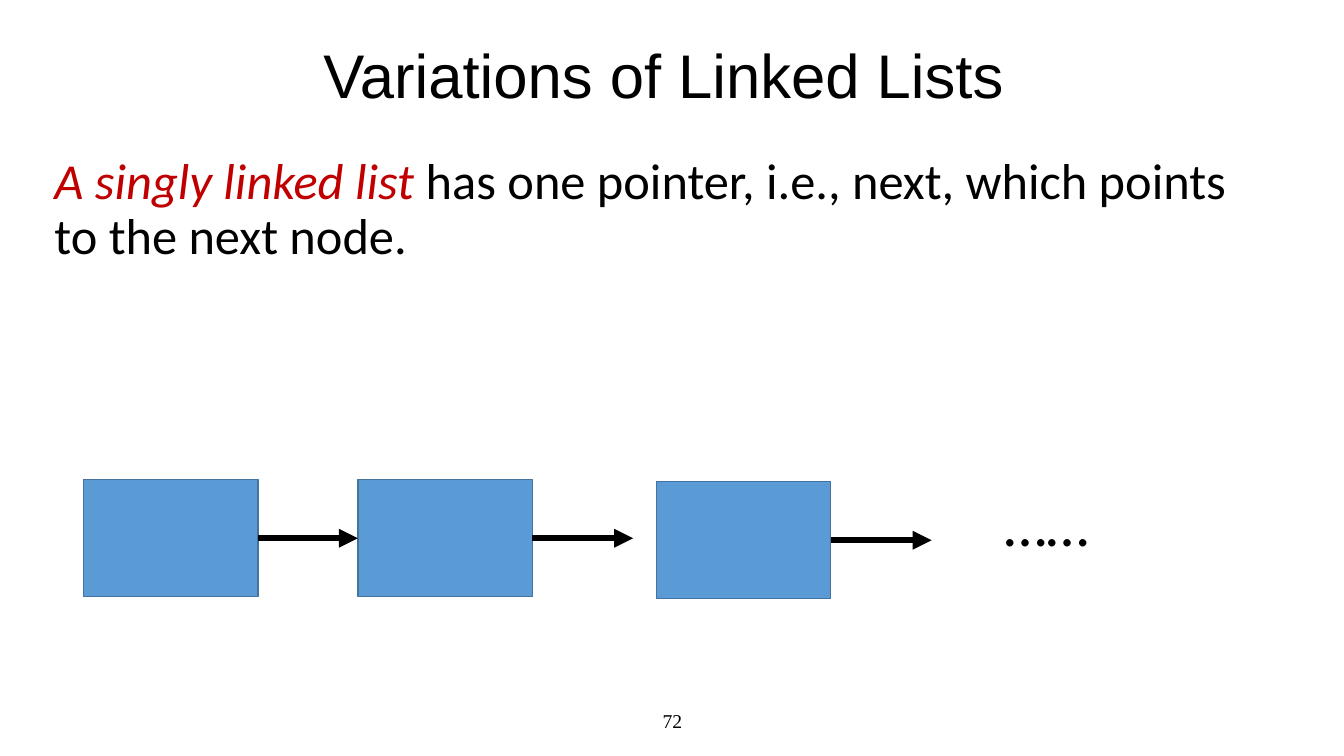
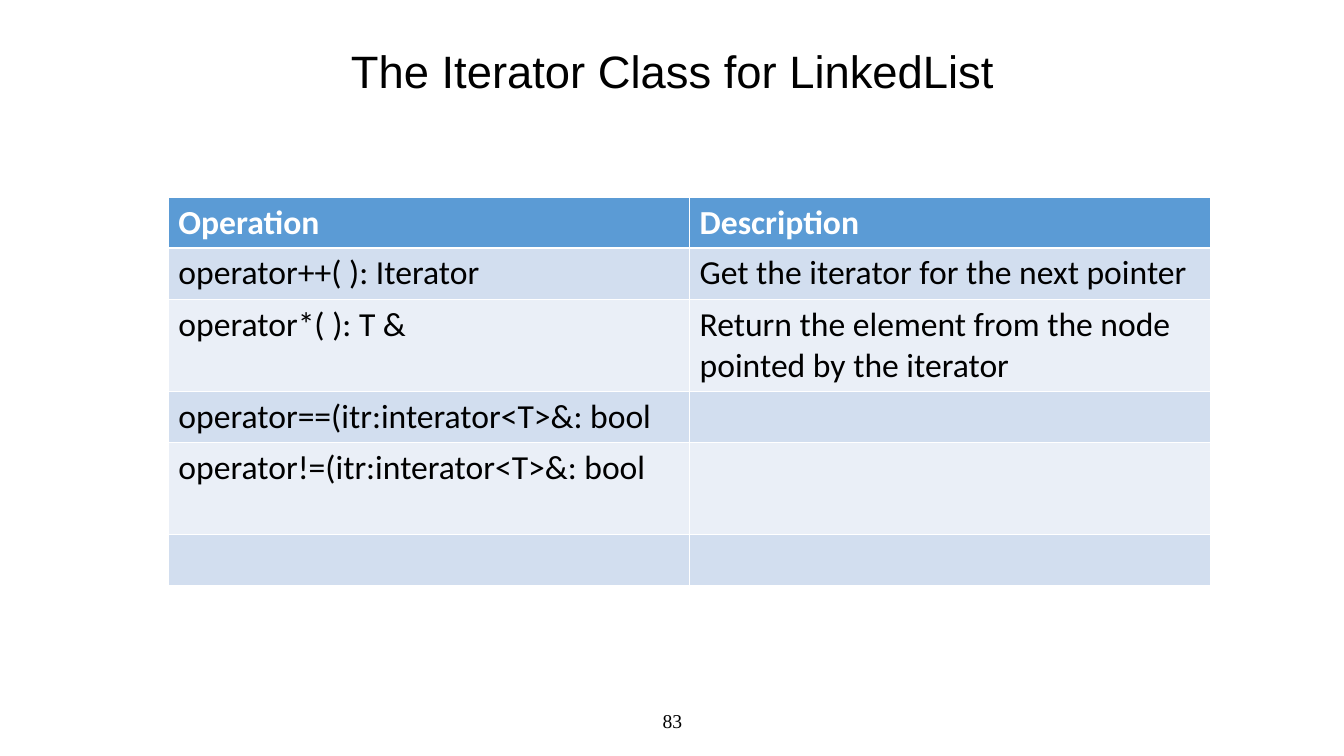
from pptx import Presentation
from pptx import util as u
from pptx.dml.color import RGBColor
from pptx.enum import shapes, text
from pptx.oxml.ns import qn
from lxml import etree

PX = 9144
BLACK, WHITE, RED = "000000", "FFFFFF", "C00000"
BLUE, EDGE = "5B9BD5", "43739E"
BANDS = ("D2DEEF", "EAEFF7")
SANS, BODY, SERIF = "Arial", "Calibri", "Times New Roman"


def px(*sizes):
    return [u.Emu(size * PX) for size in sizes]


def paint(target, color):
    if hasattr(target, "solid"):
        target.solid()
        target.fore_color.rgb = RGBColor.from_string(color)
    else:
        target.color.rgb = RGBColor.from_string(color)


def style(part, name, size, color=BLACK):
    part.font.name, part.font.size = name, u.Pt(size)
    paint(part.font, color)


def place(shape, box):
    shape.left, shape.top, shape.width, shape.height = px(*box)


def start(deck, layout, words, box, size, number):
    slide = deck.slides.add_slide(deck.slide_layouts[layout])
    title = slide.shapes.title
    place(title, box)
    frame = title.text_frame
    frame.text = words
    frame.auto_size = text.MSO_AUTO_SIZE.NONE
    frame.vertical_anchor = text.MSO_ANCHOR.MIDDLE
    para = frame.paragraphs[0]
    para.alignment, para.line_spacing = text.PP_ALIGN.CENTER, 0.9
    style(para, SANS, size)
    foot = label(slide, str(number), (442, 695, 450, 40), SERIF, 14)
    foot.word_wrap = True
    foot.vertical_anchor = text.MSO_ANCHOR.MIDDLE
    foot.paragraphs[0].alignment = text.PP_ALIGN.CENTER
    return slide


def label(slide, words, box, name, size):
    frame = slide.shapes.add_textbox(*px(*box)).text_frame
    frame.word_wrap = False
    frame.text = words
    style(frame.paragraphs[0], name, size)
    return frame


def intro(slide, term, rest):
    body = slide.placeholders[1]
    place(body, (44, 150, 1229, 283))
    frame = body.text_frame
    frame.auto_size = text.MSO_AUTO_SIZE.NONE
    para = frame.paragraphs[0]
    props = para._p.get_or_add_pPr()
    props.set("marL", "0")
    props.set("indent", "0")
    etree.SubElement(props, qn("a:buNone"))
    para.line_spacing, para.space_before = 0.9, u.Pt(0)
    style(para, BODY, 36)
    lead = para.add_run()
    lead.text = term
    lead.font.italic = True
    paint(lead.font, RED)
    para.add_run().text = rest


def node(slide, left, top):
    box = slide.shapes.add_shape(
        shapes.MSO_SHAPE.RECTANGLE, *px(left, top, 173, 116))
    box.shadow.inherit = False
    paint(box.fill, BLUE)
    paint(box.line, EDGE)
    box.line.width = u.Pt(1)
    return box


def arrow(slide, box, goal=None):
    right, mid = box.left + box.width, box.top + box.height // 2
    link = slide.shapes.add_connector(
        shapes.MSO_CONNECTOR.STRAIGHT, right, mid, right + 100 * PX, mid)
    link.begin_connect(box, 3)
    if goal:
        link.end_connect(goal, 1)
    paint(link.line, BLACK)
    link.line.width = u.Pt(4.5)
    etree.SubElement(link.line._get_or_add_ln(), qn("a:tailEnd"), type="triangle")
    etree.SubElement(link._element.spPr, qn("a:effectLst"))


def grid(slide, rows, highs, left, top, wide):
    cols = len(rows[0])
    table = slide.shapes.add_table(
        len(rows), cols, *px(left, top, wide * cols, sum(highs))).table
    for col in table.columns:
        col.width = px(wide)[0]
    for i, (row, high) in enumerate(zip(rows, highs)):
        table.rows[i].height = px(high)[0]
        for j, words in enumerate(row):
            cell = table.cell(i, j)
            cell.text = words
            paint(cell.fill, BANDS[(i - 1) % 2] if i else BLUE)
            para = cell.text_frame.paragraphs[0]
            style(para, BODY, 24, BLACK if i else WHITE)
            para.font.bold = i == 0


def lists(deck):
    slide = start(deck, 1, "Variations of Linked Lists ",
                  (242, 0, 850, 156), 44, 72)
    intro(slide, "A singly linked list ",
          "has one pointer, i.e., next, which points to the next node.")
    first, second, third = [
        node(slide, *spot) for spot in ((83, 476), (355, 476), (651, 478))]
    arrow(slide, first, second)
    arrow(slide, second)
    arrow(slide, third)
    label(slide, "……", (986, 476, 105, 84), BODY, 44)


def methods(deck):
    slide = start(deck, 5, "The Iterator Class for LinkedList",
                  (26, 44, 1282, 58), 32.4, 83)
    rows = (
        ("Operation", "Description"),
        ("operator++( ): Iterator", "Get the iterator for the next pointer"),
        ("operator*( ): T &",
         "Return the element from the node pointed by the iterator"),
        ("operator==(itr:interator<T>&: bool", ""),
        ("operator!=(itr:interator<T>&: bool", ""),
        ("", ""),
    )
    grid(slide, rows, (50, 51, 91, 51, 91, 51), 167, 196, 517)


def main():
    deck = Presentation()
    deck.slide_width, deck.slide_height = px(1333, 750)
    lists(deck)
    methods(deck)
    deck.save("out.pptx")


if __name__ == "__main__":
    main()
